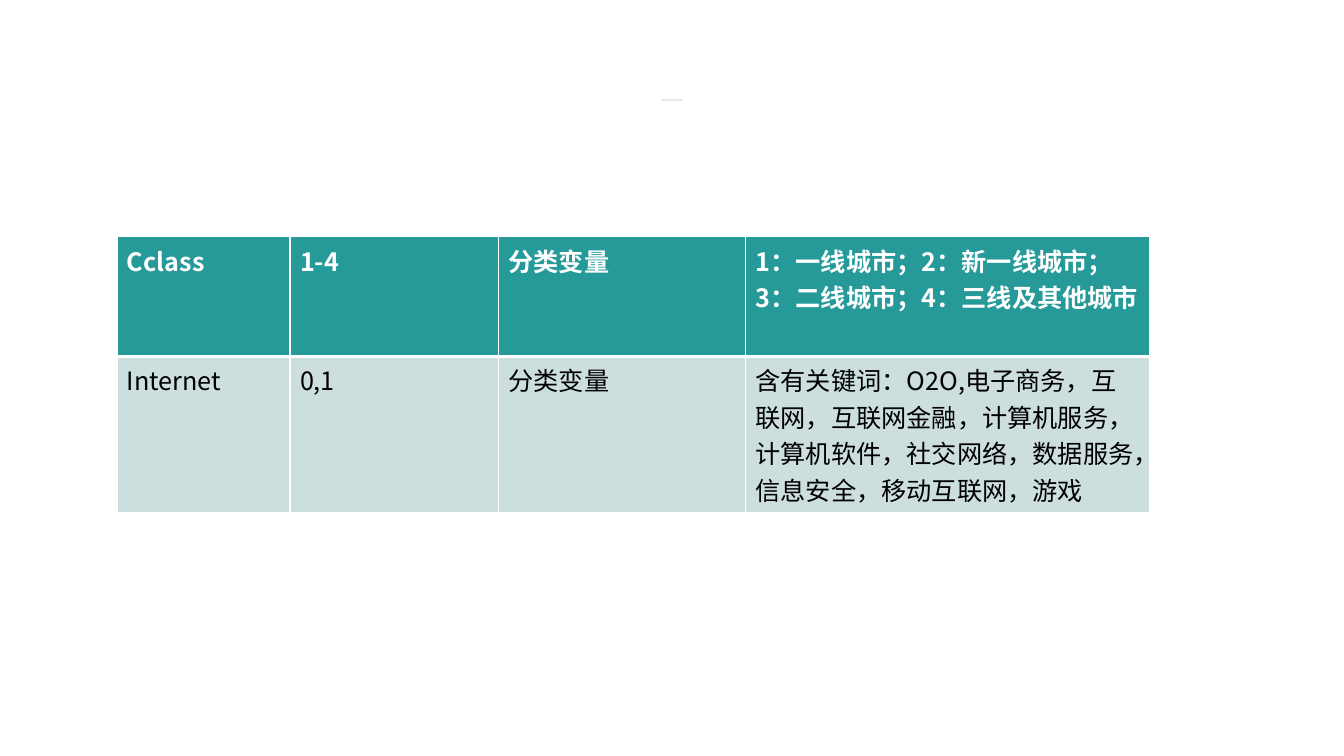
from lxml import etree
from pptx import Presentation
from pptx.dml.color import RGBColor
from pptx.enum.shapes import MSO_CONNECTOR
from pptx.oxml.ns import qn
from pptx.util import Pt

STRAIGHT = MSO_CONNECTOR.STRAIGHT
FONT = "Noto Sans CJK JP"
WHITE, BLACK, GREY = "FFFFFF", "000000", "808080"

VARIABLES = [
    ("Cclass", "1-4", "分类变量",
     "1：一线城市；2：新一线城市；3：二线城市；4：三线及其他城市"),
    ("Internet", "0,1", "分类变量",
     "含有关键词：O2O,电子商务，互联网，互联网金融，计算机服务，计算机软件，"
     "社交网络，数据服务，信息安全，移动互联网，游戏"),
]
ROW_STYLES = [
    {"height": 50.4, "fill": "269999", "color": WHITE, "bold": True, "bottom": 3},
    {"height": 29.5, "fill": "CDDEDE", "color": BLACK, "bold": False, "bottom": 1},
]
COLUMN_WIDTHS = [123.6, 149, 176.4, 289]
TABLE_LEFT, TABLE_TOP = 83.5, 169.2
DASH_LEFT, DASH_RIGHT, DASH_Y = 472.4, 487.6, 71.5


def rgb(value):
    return RGBColor.from_string(value)


def write(cell, text, size=18, color=BLACK, bold=False):
    span = cell.text_frame.paragraphs[0].add_run()
    span.text = text
    span.font.name = FONT
    span.font.size = Pt(size)
    span.font.bold = bold
    span.font.color.rgb = rgb(color)
    properties = span.font._element
    etree.SubElement(properties, qn("a:ea"), typeface=FONT)


def add_borders(cell, widths):
    """Add white borders; widths run left, right, top, bottom."""
    properties = cell._tc.get_or_add_tcPr()
    for side, width in zip("LRTB", widths):
        line = etree.SubElement(properties, qn(f"a:ln{side}"), w=str(Pt(width)))
        fill = etree.SubElement(line, qn("a:solidFill"))
        etree.SubElement(fill, qn("a:srgbClr"), val=WHITE)


def add_dash(page):
    dash = page.shapes.add_connector(
        STRAIGHT, Pt(DASH_LEFT), Pt(DASH_Y), Pt(DASH_RIGHT), Pt(DASH_Y))
    dash.line.color.rgb = rgb(GREY)
    dash.line.width = Pt(0.5)
    color = dash.line._ln.find(".//" + qn("a:srgbClr"))
    etree.SubElement(color, qn("a:alpha"), val="50000")
    etree.SubElement(dash._element.spPr, qn("a:effectLst"))


def add_variable_table(page):
    height = sum(style["height"] for style in ROW_STYLES)
    table = page.shapes.add_table(
        len(VARIABLES), len(COLUMN_WIDTHS), Pt(TABLE_LEFT), Pt(TABLE_TOP),
        Pt(sum(COLUMN_WIDTHS)), Pt(height)).table
    for column, width in zip(table.columns, COLUMN_WIDTHS):
        column.width = Pt(width)
    top = 1
    for row, texts, style in zip(table.rows, VARIABLES, ROW_STYLES):
        row.height = Pt(style["height"])
        for cell, text in zip(row.cells, texts):
            add_borders(cell, (1, 1, top, style["bottom"]))
            cell.fill.solid()
            cell.fill.fore_color.rgb = rgb(style["fill"])
            write(cell, text, color=style["color"], bold=style["bold"])
        top = style["bottom"]


def main():
    deck = Presentation()
    deck.slide_width, deck.slide_height = Pt(960), Pt(540)
    page = deck.slides.add_slide(deck.slide_layouts[6])
    add_dash(page)
    add_variable_table(page)
    deck.save("out.pptx")


if __name__ == "__main__":
    main()
